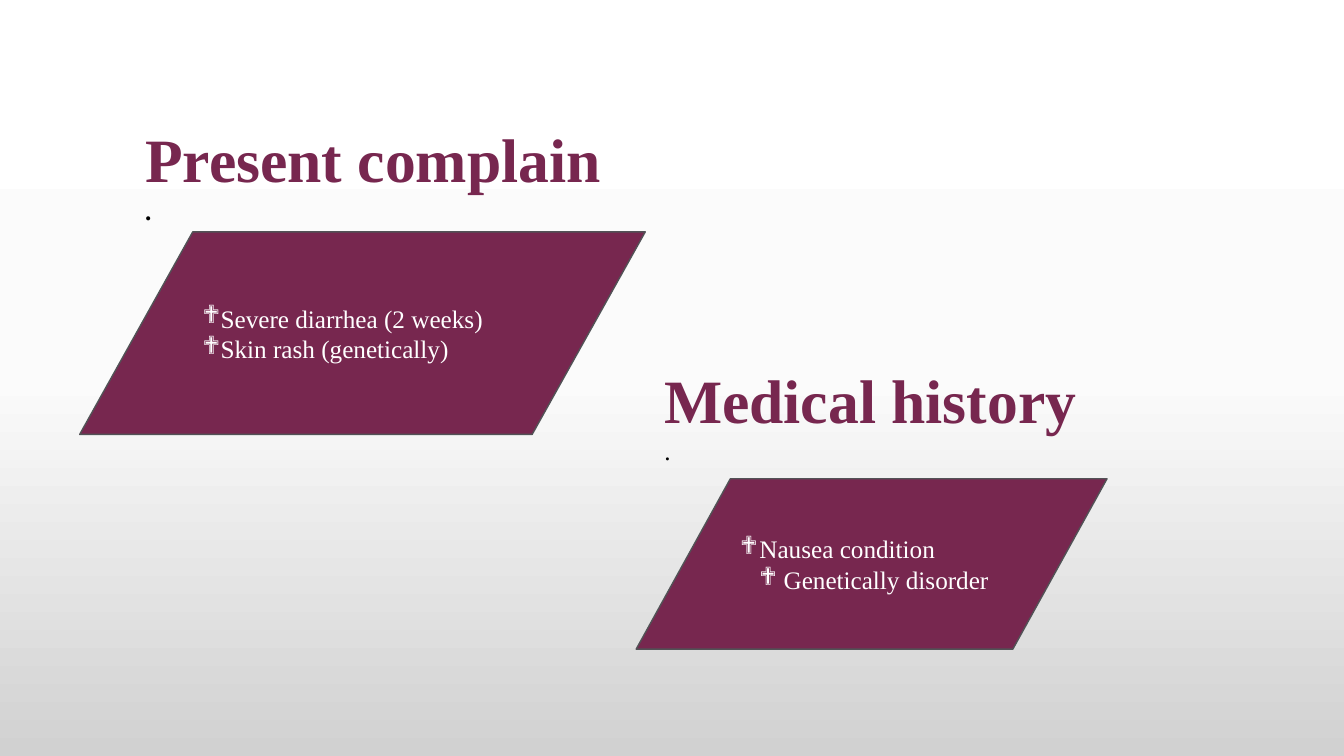
from copy import deepcopy
from dataclasses import dataclass

from lxml.etree import SubElement as Sub
from pptx import Presentation
from pptx.dml.color import RGBColor as Rgb
from pptx.enum.shapes import MSO_SHAPE as Kind
from pptx.enum.text import MSO_ANCHOR as Anchor, MSO_AUTO_SIZE as Auto, PP_ALIGN as Align
from pptx.oxml.ns import qn
from pptx.util import Inches, Pt

HUES = {"plum": "77274F", "edge": "525256", "white": "FFFFFF", "black": "000000",
        "mist": "FBFBFB", "grey": "D1D1D1"}
FONT = "Times New Roman"


@dataclass
class Box:
    left: float
    top: float
    width: float
    height: float


@dataclass
class Item:
    text: str
    margin: float = 0
    indent: float = 0


@dataclass
class Topic:
    title: str
    head: Box
    card: Box
    items: list[Item]
    bold: bool


TOPICS = [
    Topic("Present complain", Box(1.34, 1.15, 8.11, 1.11), Box(0.79, 2.3, 5.61, 2.01),
          [Item("Severe diarrhea (2 weeks)"), Item("Skin rash (genetically)")], True),
    Topic("Medical history", Box(6.49, 3.54, 6.84, 1.11), Box(6.31, 4.75, 4.67, 1.69),
          [Item("Nausea condition", 0.19, -0.19), Item("Genetically disorder", 0.43, -0.24)], False),
]


def hue(name: str) -> Rgb:
    return Rgb.from_string(HUES[name])


def sides(box: Box) -> list:
    return [Inches(n) for n in (box.left, box.top, box.width, box.height)]


def apply(target, values: dict) -> None:
    for name, value in values.items():
        setattr(target, name, value)


def write(para, text: str, size: int, color: str, bold: bool, align: Align) -> None:
    para.alignment = align
    run = para.add_run()
    run.text = text
    apply(run.font, {"name": FONT, "size": Pt(size), "bold": bold})
    run.font.color.rgb = hue(color)


def shade(slide, names: list[str]) -> None:
    fill = slide.background.fill
    fill.gradient()
    fill.gradient_angle = 270
    stops = slide.element.find(".//" + qn("a:gsLst"))
    stops.insert(1, deepcopy(stops[0]))
    for i, (stop, name) in enumerate(zip(fill.gradient_stops, names)):
        stop.color.rgb = hue(name)
        stop.position = i / (len(names) - 1)


def add_head(shape, topic: Topic) -> None:
    apply(shape, dict(zip(("left", "top", "width", "height"), sides(topic.head))))
    frame = shape.text_frame
    apply(frame, {"word_wrap": True, "auto_size": Auto.SHAPE_TO_FIT_TEXT,
                  "vertical_anchor": Anchor.TOP})
    write(frame.paragraphs[0], topic.title, 44, "plum", True, Align.LEFT)
    write(frame.add_paragraph(), ".", 18, "black", topic.bold, Align.JUSTIFY)


def add_card(slide, topic: Topic) -> None:
    card = slide.shapes.add_shape(Kind.FLOWCHART_DATA, *sides(topic.card))
    card.shadow.inherit = False
    card.fill.solid()
    card.fill.fore_color.rgb = hue("plum")
    card.line.color.rgb = hue("edge")
    card.line.width = Pt(1)
    frame = card.text_frame
    apply(frame, {"word_wrap": True, "vertical_anchor": Anchor.MIDDLE})
    for i, item in enumerate(topic.items):
        para = frame.add_paragraph() if i else frame.paragraphs[0]
        props = para._p.get_or_add_pPr()
        props.set("marL", str(Inches(item.margin)))
        props.set("indent", str(Inches(item.indent)))
        Sub(props, qn("a:buFont"), typeface="Wingdings")
        Sub(props, qn("a:buChar"), char="❖")
        write(para, item.text, 18, "white", False, Align.JUSTIFY)


def main() -> None:
    deck = Presentation()
    apply(deck, {"slide_width": Inches(13.33), "slide_height": Inches(7.5)})
    slide = deck.slides.add_slide(deck.slide_layouts[5])
    shade(slide, ["white", "mist", "grey"])
    for i, topic in enumerate(TOPICS):
        add_card(slide, topic)
        head = slide.shapes.add_textbox(*sides(topic.head)) if i else slide.shapes.title
        add_head(head, topic)
    deck.save("out.pptx")


if __name__ == "__main__":
    main()
